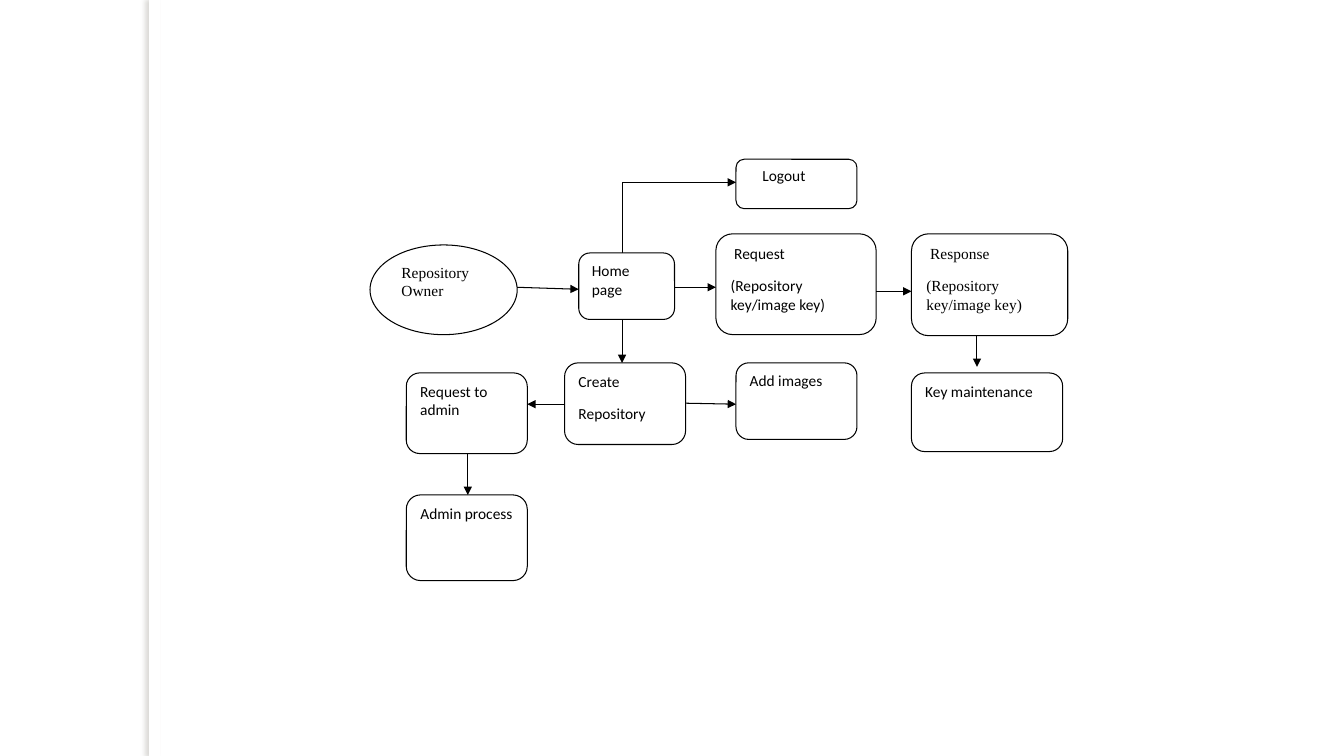
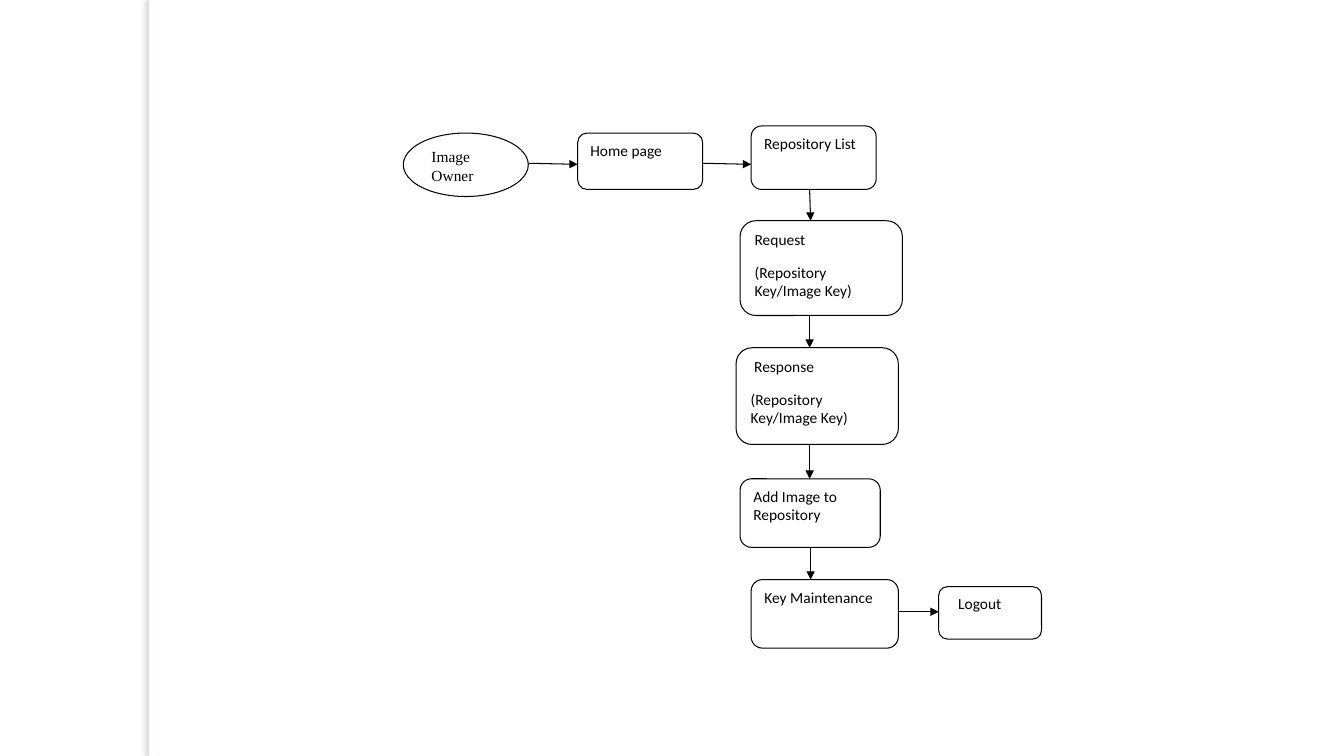
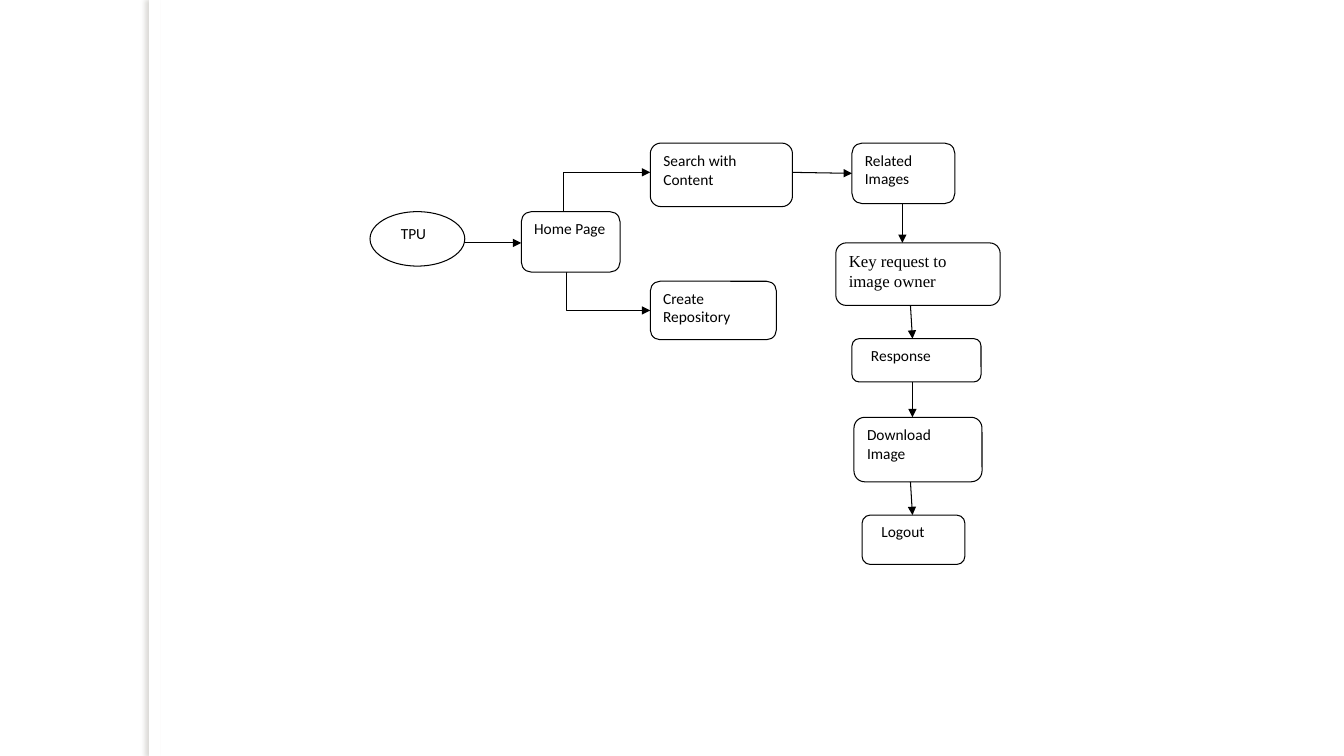
from lxml import etree
from pptx import Presentation
from pptx.dml.color import RGBColor
from pptx.enum.shapes import MSO_CONNECTOR as LINE, MSO_SHAPE as SHAPE
from pptx.enum.text import MSO_ANCHOR as ANCHOR, PP_ALIGN as ALIGN
from pptx.oxml import parse_xml
from pptx.oxml.ns import nsdecls, qn
from pptx.util import Inches, Pt

BLACK = RGBColor(0x00, 0x00, 0x00)
WHITE = RGBColor(0xFF, 0xFF, 0xFF)
SHADE = RGBColor(0x73, 0x6F, 0x63)
CELL = Inches(0.1)
SERIF = "Times New Roman"


def write(tf, text, font="Calibri", size=11, indent=0):
    tf.word_wrap = True
    tf.vertical_anchor = ANCHOR.TOP
    for i, line in enumerate(text.split("\n")):
        p = tf.add_paragraph() if i else tf.paragraphs[0]
        p.alignment = ALIGN.LEFT
        p.space_after = Pt(10)
        if indent and i == 0:
            p._p.get_or_add_pPr().set("indent", str(Pt(indent)))
        r = p.add_run()
        r.text = line
        r.font.name = font
        r.font.size = Pt(size)
        r.font.color.rgb = BLACK


def arrow(s, a, b, way, start, end, gap=0):
    (ax, ay, aw, ah), (bx, by, bw, bh) = a, b
    x1, y1, x2, y2 = {
        "right": (ax + aw, start, bx, end),
        "left": (ax, start, bx + bw, end),
        "down": (start, ay + ah, end, by - gap),
        "up, right": (start, ay, bx, end),
        "down, right": (start, ay + ah, bx, end),
    }[way]
    bent = "," in way
    kind = LINE.ELBOW if bent else LINE.STRAIGHT
    c = s.shapes.add_connector(kind, *[int(v * CELL) for v in (x1, y1, x2, y2)])
    c.line.color.rgb = BLACK
    c.line.width = Pt(0.75)
    pr = c.element.spPr
    etree.SubElement(pr.find(qn("a:ln")), qn("a:tailEnd"), type="triangle")
    etree.SubElement(pr, qn("a:effectLst"))
    if bent:
        geom = pr.find(qn("a:prstGeom"))
        for av in geom.findall(qn("a:avLst")):
            geom.remove(av)
        av = etree.SubElement(geom, qn("a:avLst"))
        etree.SubElement(av, qn("a:gd"), name="adj1", fmla="val 100")


SLIDES = [
    (
        [
            ("Request to admin", 40.3, 37, 12, 8, {}),
            ("Admin process", 40.3, 49.1, 12, 8.5, {}),
            ("Repository Owner", 36.7, 24.3, 14.6, 8.9, {"font": SERIF}),
            ("Home page", 57.4, 25.1, 9.5, 6.6, {}),
            ("Create\nRepository", 56, 36, 12, 8.1, {}),
            ("Request\n(Repository key/image key)", 71, 23.2, 15.9, 10, {"indent": 2.5}),
            ("Response\n(Repository key/image key)", 90.4, 23.2, 15.5, 10.1,
             {"font": SERIF, "indent": 2.75}),
            ("Add images", 73, 36, 12, 7.6, {}),
            ("Key maintenance", 90.4, 37, 15, 7.8, {}),
            ("Logout", 73, 15.8, 12, 4.9, {"indent": 10}),
        ],
        [
            ("Create", "Request to admin", "left", 40.1, 40.1),
            ("Request to admin", "Admin process", "down", 46.4, 46.4),
            ("Repository Owner", "Home page", "right", 28.5, 28.7),
            ("Home page", "Create", "down", 61.7, 61.7),
            ("Create", "Add images", "right", 40, 40.1),
            ("Home page", "Request", "right", 28.5, 28.5),
            ("Request", "Response", "right", 28.9, 28.9),
            ("Response", "Key maintenance", "down", 96.9, 96.9, 0.6),
            ("Home page", "Logout", "up, right", 61.7, 18.1),
        ],
    ),
    (
        [
            ("Image Owner", 40, 13.2, 12.4, 6.3, {"font": SERIF}),
            ("Home page", 57.3, 13.2, 12.4, 5.6, {}),
            ("Request\n(Repository Key/Image Key)", 73.4, 21.9, 16.1, 9.4, {}),
            ("Response\n(Repository Key/Image Key)", 73, 34.5, 16.1, 9.6, {"indent": 2.5}),
            ("Key Maintenance", 74.5, 57.5, 14.6, 6.8, {}),
            ("Add Image to Repository", 73.4, 47.5, 13.9, 6.8, {}),
            ("Logout", 93.1, 58.2, 10.2, 5.2, {"indent": 5}),
            ("Repository List", 74.5, 12.5, 12.4, 6.3, {}),
        ],
        [
            ("Image Owner", "Home page", "right", 16.2, 16.3),
            ("Home page", "Repository List", "right", 16.2, 16.3),
            ("Repository List", "Request", "down", 80.3, 80.4),
            ("Request", "Response", "down", 80.3, 80.3),
            ("Response", "Add Image to Repository", "down", 80.3, 80.3),
            ("Add Image to Repository", "Key Maintenance", "down", 80.4, 80.4),
            ("Key Maintenance", "Logout", "right", 60.7, 60.7),
        ],
    ),
    (
        [
            ("TPU", 36.7, 21, 9.4, 5.4, {"indent": 5}),
            ("Search with Content", 64.5, 14.2, 14.1, 6.3, {}),
            ("Key request to image owner", 82.9, 24.1, 16.3, 6.2, {"font": SERIF, "size": 12}),
            ("Response", 84.5, 33.6, 12.8, 4.3, {"indent": 5}),
            ("Related Images", 84.5, 14.2, 10.2, 6, {}),
            ("Home Page", 51.7, 21, 9.8, 6, {}),
            ("Download Image", 84.7, 41.4, 12.7, 6.4, {}),
            ("Create Repository", 64.5, 27.9, 12.5, 5.8, {}),
            ("Logout", 85.5, 51.1, 10.2, 4.9, {"indent": 5}),
        ],
        [
            ("TPU", "Home Page", "right", 24.1, 24.1),
            ("Search with Content", "Related Images", "right", 17.1, 17.2),
            ("Home Page", "Search with Content", "up, right", 55.9, 17.1),
            ("Home Page", "Create Repository", "down, right", 56.2, 30.8),
            ("Related Images", "Key request to image owner", "down", 89.5, 89.5),
            ("Key request to image owner", "Response", "down", 90.3, 90.5),
            ("Response", "Download Image", "down", 90.5, 90.5),
            ("Download Image", "Logout", "down", 90.3, 90.5),
        ],
    ),
]
ACTORS = ("Repository Owner", "Image Owner", "TPU")

prs = Presentation()
prs.slide_width, prs.slide_height = Inches(13.33), Inches(7.5)
layout = prs.slide_layouts[6]
for ph in list(layout.placeholders):
    ph.element.getparent().remove(ph.element)

for n, (boxes, arrows) in enumerate(SLIDES):
    s = prs.slides.add_slide(layout)
    if n == 0:
        band = s.shapes.add_shape(SHAPE.RECTANGLE, int(14.8 * CELL), 0,
                                  int(1.1 * CELL), prs.slide_height)
        band.fill.solid()
        band.fill.fore_color.rgb = WHITE
        band.line.fill.background()
        band.element.spPr.append(parse_xml(
            f'<a:effectLst {nsdecls("a")}><a:outerShdw blurRad="{Pt(3)}" dist="{Pt(3)}" '
            f'dir="10800000" algn="ctr" rotWithShape="0"><a:srgbClr val="{SHADE}">'
            '<a:alpha val="25000"/></a:srgbClr></a:outerShdw></a:effectLst>'))
        layout.shapes.element.append(band.element)
    places = {}
    for text, x, y, w, h, fmt in boxes:
        kind = SHAPE.OVAL if text in ACTORS else SHAPE.ROUNDED_RECTANGLE
        sp = s.shapes.add_shape(kind, *[int(v * CELL) for v in (x, y, w, h)])
        sp.shadow.inherit = False
        sp.fill.solid()
        sp.fill.fore_color.rgb = WHITE
        sp.line.color.rgb = BLACK
        sp.line.width = Pt(0.75)
        write(sp.text_frame, text, **fmt)
        places[text.split("\n")[0]] = (x, y, w, h)
    for a, b, *route in arrows:
        arrow(s, places[a], places[b], *route)

prs.save("out.pptx")
